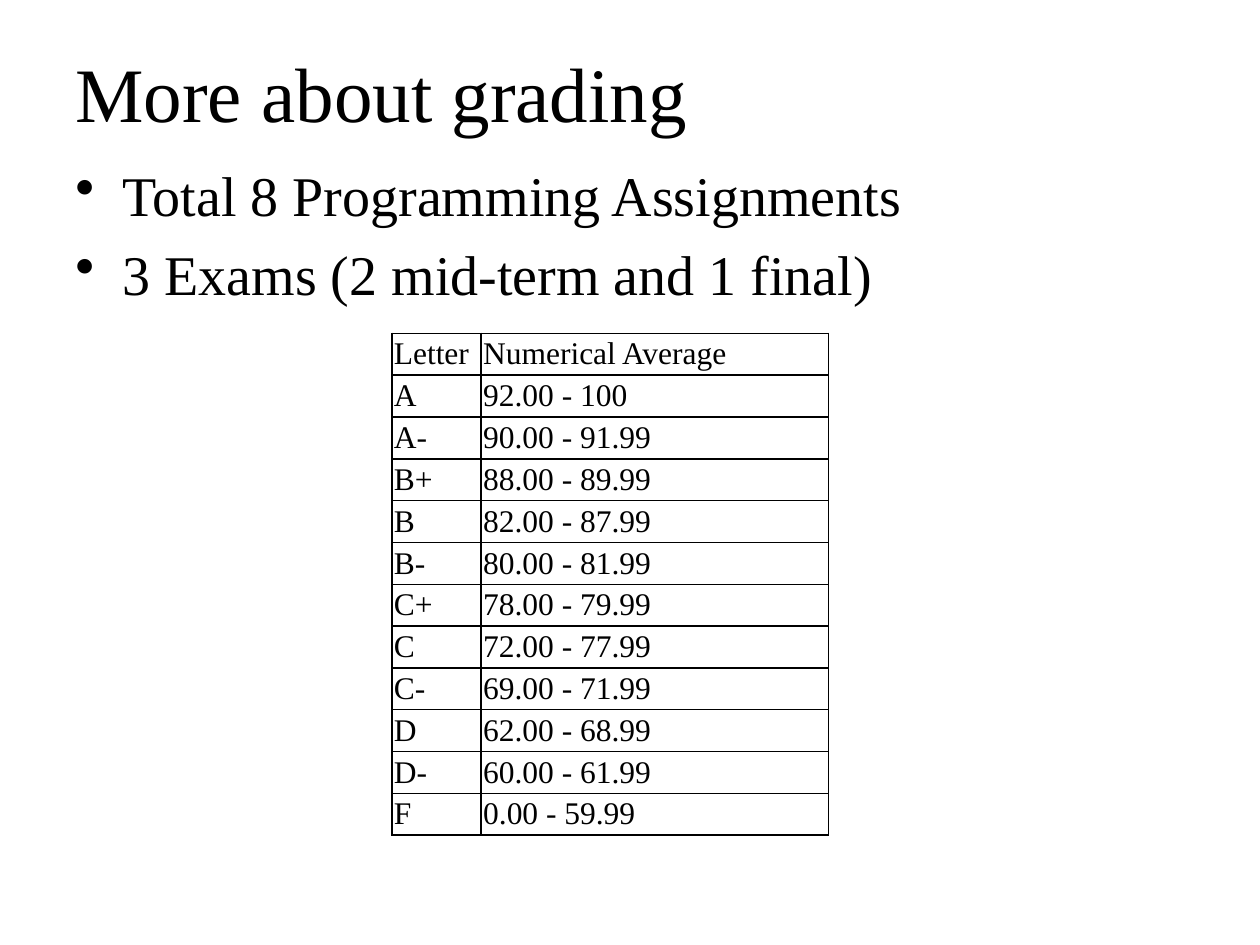
from dataclasses import dataclass

from lxml import etree
from pptx import Presentation
from pptx.dml.color import RGBColor
from pptx.enum import text
from pptx.oxml import ns
from pptx.util import Cm, Pt


@dataclass(frozen=True)
class Theme:
    font: str = "Times New Roman"
    ink: RGBColor = RGBColor(0, 0, 0)
    title_size: Pt = Pt(44)
    body_size: Pt = Pt(32)
    table_size: Pt = Pt(18)
    border: Pt = Pt(1)


THEME = Theme()
BULLETS = ["Total 8 Programming Assignments", "3 Exams (2 mid-term and 1 final)"]
GRADES = [
    ("Letter", "Numerical Average"),
    ("A", "92.00 - 100"),
    ("A-", "90.00 - 91.99"),
    ("B+", "88.00 - 89.99"),
    ("B", "82.00 - 87.99"),
    ("B-", "80.00 - 81.99"),
    ("C+", "78.00 - 79.99"),
    ("C", "72.00 - 77.99"),
    ("C-", "69.00 - 71.99"),
    ("D", "62.00 - 68.99"),
    ("D-", "60.00 - 61.99"),
    ("F", "0.00 - 59.99"),
]


def add_element(parent, tag, **attributes):
    return etree.SubElement(
        parent, ns.qn(tag), {name: str(value) for name, value in attributes.items()}
    )


def write(paragraph, words, size):
    paragraph.text = words
    paragraph.font.name = THEME.font
    paragraph.font.size = size
    paragraph.font.color.rgb = THEME.ink


def add_text_frame(slide, box):
    frame = slide.shapes.add_textbox(*box).text_frame
    frame.word_wrap = True
    return frame


def add_title(slide, box, words):
    frame = add_text_frame(slide, box)
    frame.vertical_anchor = text.MSO_ANCHOR.MIDDLE
    write(frame.paragraphs[0], words, THEME.title_size)


def set_bullet(paragraph, indent):
    """Give a hanging bullet and a gap of 20 % of the line above it."""
    properties = paragraph._p.get_or_add_pPr()
    properties.set("marL", str(indent))
    properties.set("indent", str(-indent))
    # The schema wants spacing and bullet ahead of the font defaults.
    space = etree.Element(ns.qn("a:spcBef"))
    add_element(space, "a:spcPct", val=20000)
    bullet = etree.Element(ns.qn("a:buChar"), {"char": "•"})
    properties.insert(0, space)
    properties.insert(1, bullet)


def add_bullets(slide, box, lines):
    frame = add_text_frame(slide, box)
    for index, line in enumerate(lines):
        paragraph = frame.add_paragraph() if index else frame.paragraphs[0]
        write(paragraph, line, THEME.body_size)
        set_bullet(paragraph, Cm(0.95))


def set_borders(cell):
    properties = cell._tc.get_or_add_tcPr()
    for position, side in enumerate(("a:lnL", "a:lnR", "a:lnT", "a:lnB")):
        line = add_element(properties, side, w=THEME.border)
        fill = add_element(line, "a:solidFill")
        add_element(fill, "a:srgbClr", val=THEME.ink)
        properties.insert(position, line)


def add_grade_table(slide, box, rows):
    left, top, width, height = box
    table = slide.shapes.add_table(len(rows), 2, left, top, width, height).table
    table.first_row = table.horz_banding = False
    letter_width = Cm(1.8)
    table.columns[0].width = letter_width
    table.columns[1].width = width - letter_width
    for row, values in zip(table.rows, rows):
        for cell, value in zip(row.cells, values):
            cell.margin_left = cell.margin_right = Cm(0.04)
            cell.margin_top = cell.margin_bottom = Cm(0.04)
            cell.vertical_anchor = text.MSO_ANCHOR.MIDDLE
            cell.fill.background()
            set_borders(cell)
            write(cell.text_frame.paragraphs[0], value, THEME.table_size)


def main():
    presentation = Presentation()
    presentation.slide_width, presentation.slide_height = Cm(25.4), Cm(19.05)
    slide = presentation.slides.add_slide(presentation.slide_layouts[6])
    margin, content_width = Cm(1.27), Cm(22.86)
    add_title(slide, (margin, Cm(0.76), content_width, Cm(2.16)), "More about grading")
    add_bullets(slide, (margin, Cm(3.12), content_width, Cm(15.6)), BULLETS)
    add_grade_table(slide, (Cm(7.9), Cm(6.72), Cm(8.8), Cm(9.7)), GRADES)
    presentation.save("out.pptx")


if __name__ == "__main__":
    main()
